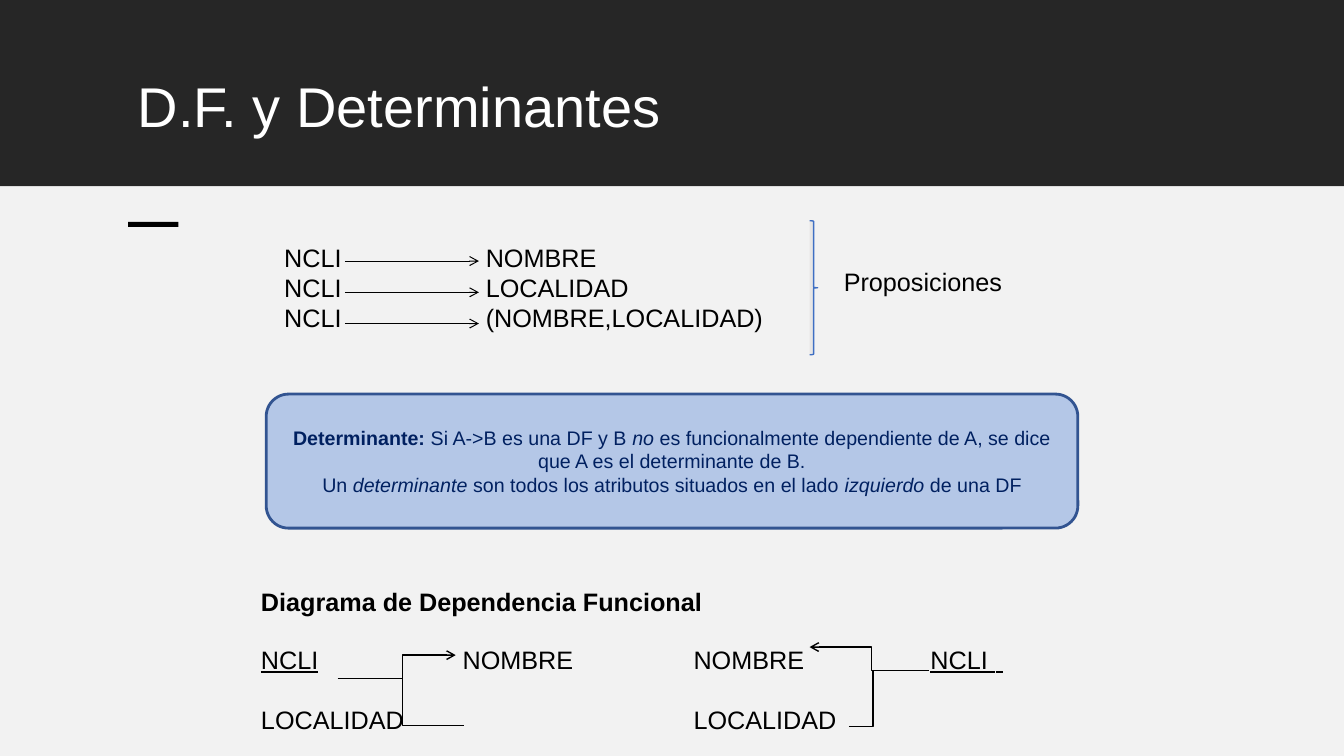
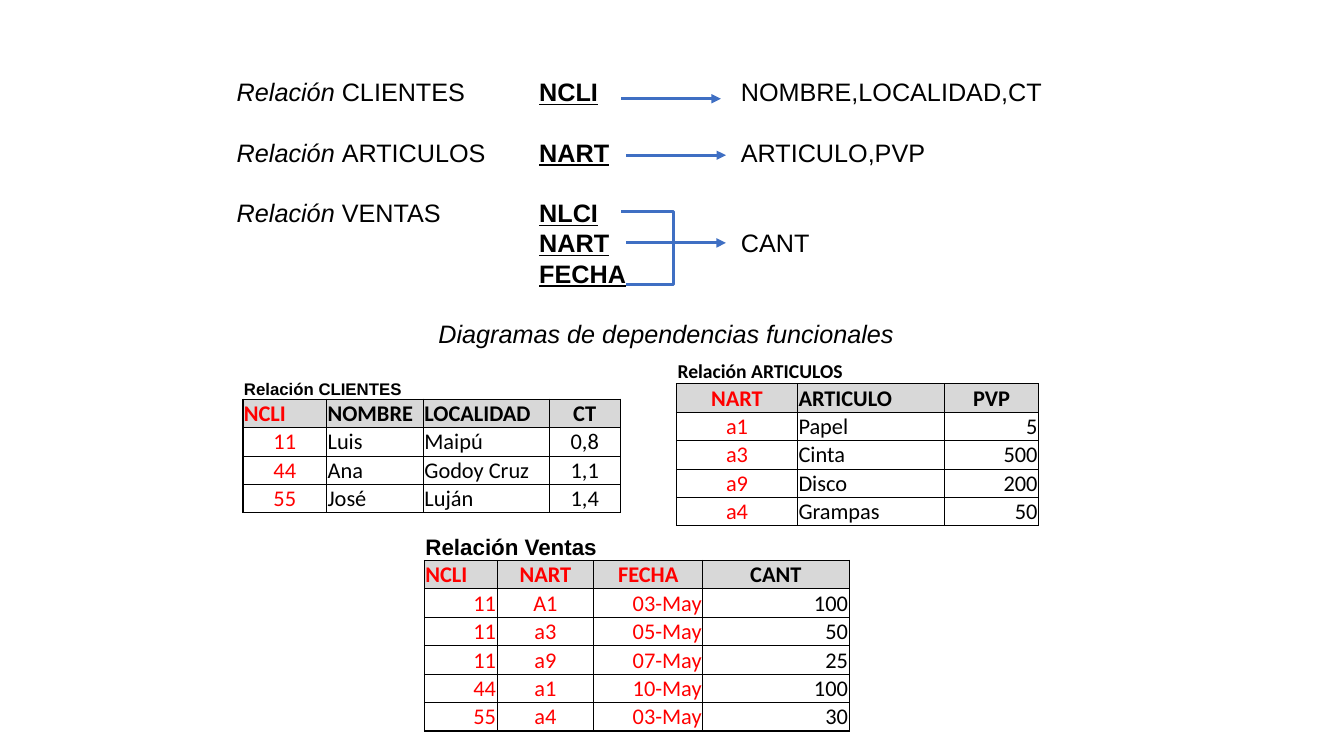
import pptx
import pptx.util
import pptx.dml.color
import pptx.enum.shapes
import pptx.enum.text
import pptx.oxml
import pptx.oxml.ns
from dataclasses import dataclass
from lxml import etree

Inches, Pt = pptx.util.Inches, pptx.util.Pt
MSO = pptx.enum.shapes.MSO_SHAPE
LINK = pptx.enum.shapes.MSO_CONNECTOR
ANCHOR = pptx.enum.text.MSO_ANCHOR
ALIGN = {"l": pptx.enum.text.PP_ALIGN.LEFT, "c": pptx.enum.text.PP_ALIGN.CENTER,
         "r": pptx.enum.text.PP_ALIGN.RIGHT}
qn = pptx.oxml.ns.qn
NO_GRID_STYLE = "{2D5ABB26-0587-4C30-8999-92F81FD0307C}"


@dataclass(frozen=True)
class Theme:
    width: float = 13.33
    height: float = 7.5
    band: float = 1.85
    font: str = "Arial"
    table_font: str = "Calibri"
    title: int = 40
    body: int = 18
    cell: int = 16
    note: int = 14
    gap: float = 21.6
    row: float = 0.28
    ink: str = "000000"
    white: str = "FFFFFF"
    dark: str = "262626"
    pale: str = "F2F2F2"
    blue: str = "3F6FC3"
    brace: str = "E7E6E6"
    box: str = "B4C7E7"
    box_edge: str = "325491"
    navy: str = "002060"
    key: str = "FF0000"
    header: str = "D8D8D8"


T = Theme()

TITLE = "D.F. y Determinantes"
PROPOSITIONS = ["NOMBRE", "LOCALIDAD", "(NOMBRE,LOCALIDAD)"]
DEFINITION = [
    [("Determinante: ", "b"), ("Si A->B es una DF y B ", ""), ("no", "i"),
     (" es funcionalmente dependiente de A, se dice que A es el determinante de B.", "")],
    [("Un ", ""), ("determinante", "i"), (" son todos los atributos situados en el lado ", ""),
     ("izquierdo", "i"), (" de una DF", "")],
]
DIAGRAM_LEFT = [[("NCLI", "u"), ("\tNOMBRE", "")], [("LOCALIDAD", "")]]
DIAGRAM_RIGHT = [[("NOMBRE\t", ""), ("NCLI \t ", "u")], [("LOCALIDAD", "")]]
DIAGRAM_LINKS = [
    ((3.35, 6.73), (4.52, 6.5), 0.55, "arrow"),
    ((3.97, 6.73), (4.6, 7.2), 0.035, None),
    ((9.21, 6.65), (8.03, 6.42), 0.48, "arrow"),
    ((8.42, 7.21), (8.66, 6.65), 1, None),
]

DEPENDENCIES = [
    [("Relación ", "i"), ("CLIENTES\t", ""), ("NCLI", "bu"), ("\tNOMBRE,LOCALIDAD,CT", "")],
    [("Relación ", "i"), ("ARTICULOS\t", ""), ("NART", "bu"), ("\tARTICULO,PVP", "")],
    [("Relación ", "i"), ("VENTAS\t", ""), ("NLCI", "bu")],
    [("\t", ""), ("NART", "bu"), ("\tCANT", "")],
    [("\t", ""), ("FECHA", "bu")],
    [("\t", ""), ("Diagramas de dependencias funcionales", "i")],
]
DEPENDENCY_TABS = [(3, 5)] * 5 + [(2,)]
DEPENDENCY_LINKS = [
    ((6.16, 0.98), (7.15, 0.98), None, "triangle"),
    ((6.21, 1.54), (7.2, 1.54), None, "triangle"),
    ((6.16, 2.1), (7.2, 2.41), 0.5, "triangle"),
    ((6.21, 2.41), (6.71, 2.41), None, None),
    ((6.21, 2.82), (7.15, 2.41), 0.5, None),
]
RELATIONS = [
    dict(title="Relación CLIENTES", font=T.font, size=12, at=(2.41, 3.72), title_row=0.24,
         cols=[0.83, 0.96, 1.25, 0.7], keys=1, head_align="lllc", align="cllc",
         rows=[["NCLI", "NOMBRE", "LOCALIDAD", "CT"], ["11", "Luis", "Maipú", "0,8"],
               ["44", "Ana", "Godoy Cruz", "1,1"], ["55", "José", "Luján", "1,4"]]),
    dict(title="Relación ARTICULOS", font=T.table_font, size=14, at=(6.71, 3.56), title_row=0.24,
         cols=[1.2, 1.46, 0.93], keys=1, head_align="clc", align="clr",
         rows=[["NART", "ARTICULO", "PVP"], ["a1", "Papel", "5"], ["a3", "Cinta", "500"],
               ["a9", "Disco", "200"], ["a4", "Grampas", "50"]]),
    dict(title="Relación Ventas", font=T.font, size=16, at=(4.21, 5.28), title_row=T.row,
         cols=[0.72, 0.96, 1.08, 1.45], keys=3, head_align="lccc", align="rcrr",
         rows=[["NCLI", "NART", "FECHA", "CANT"], ["11", "A1", "03-May", "100"],
               ["11", "a3", "05-May", "50"], ["11", "a9", "07-May", "25"],
               ["44", "a1", "10-May", "100"], ["55", "a4", "03-May", "30"]]),
]


def rgb(value):
    return pptx.dml.color.RGBColor.from_string(value)


def format_run(r, size, color, style="", font=T.font):
    r.font.name, r.font.size = font, Pt(size)
    r.font.color.rgb = rgb(color)
    r.font.bold, r.font.italic, r.font.underline = ("b" in style, "i" in style, "u" in style)


def write(tf, paragraphs, size=T.body, color=T.ink, align="l", tabs=(), gaps=()):
    tf.word_wrap = True
    for i, runs in enumerate(paragraphs):
        p = tf.paragraphs[0] if i == 0 else tf.add_paragraph()
        p.alignment = ALIGN[align]
        if tabs:
            tab_list = etree.SubElement(p._p.get_or_add_pPr(), qn("a:tabLst"))
            for stop in tabs[i]:
                etree.SubElement(tab_list, qn("a:tab"), pos=str(Inches(stop)), algn="l")
        if i in gaps:
            p.space_before = Pt(T.gap)
        for text, style in runs:
            r = p.add_run()
            r.text = text
            format_run(r, size, color, style)


def add_text(s, at, paragraphs, **options):
    write(s.shapes.add_textbox(*map(Inches, at)).text_frame, paragraphs, **options)


def add_box(s, kind, at, fill, line=None, weight=1):
    sp = s.shapes.add_shape(kind, *map(Inches, at))
    sp.shadow.inherit = False
    sp.fill.solid()
    sp.fill.fore_color.rgb = rgb(fill)
    if line:
        sp.line.color.rgb = rgb(line)
        sp.line.width = Pt(weight)
    else:
        sp.line.fill.background()
    return sp


def add_link(s, start, end, bend, tail, color, weight):
    kind = LINK.STRAIGHT if bend is None else LINK.ELBOW
    link = s.shapes.add_connector(kind, *map(Inches, start + end))
    link.line.color.rgb = rgb(color)
    link.line.width = Pt(weight)
    props = link.element.spPr
    if bend is not None:
        guides = props.find(qn("a:prstGeom")).find(qn("a:avLst"))
        etree.SubElement(guides, qn("a:gd"), name="adj1", fmla=f"val {round(bend * 100000)}")
    if tail:
        etree.SubElement(props.find(qn("a:ln")), qn("a:tailEnd"), type=tail)
    etree.SubElement(props, qn("a:effectLst"))


def set_borders(cell, **weights):
    props = cell._tc.get_or_add_tcPr()
    for side in "LRTB":
        ln = etree.SubElement(props, qn(f"a:ln{side}"), w=str(Pt(weights.get(side, 0))))
        if side in weights:
            fill = etree.SubElement(ln, qn("a:solidFill"))
            etree.SubElement(fill, qn("a:srgbClr"), val=T.ink)
        else:
            etree.SubElement(ln, qn("a:noFill"))


def fill_cell(cell, text, size, color, align, style, font, fill=None):
    cell.margin_left = cell.margin_right = cell.margin_top = Inches(0.01)
    cell.margin_bottom = 0
    cell.vertical_anchor = ANCHOR.BOTTOM
    cell.text_frame.text = text
    p = cell.text_frame.paragraphs[0]
    p.alignment = ALIGN[align]
    format_run(p.runs[0], size, color, style, font)
    if fill:
        cell.fill.solid()
        cell.fill.fore_color.rgb = rgb(fill)
    else:
        cell.fill.background()


def add_relation(s, title, font, size, at, title_row, cols, keys, head_align, align, rows):
    heights = [title_row] + [T.row] * len(rows)
    extent = (sum(cols), sum(heights))
    table = s.shapes.add_table(len(heights), len(cols), *map(Inches, at + extent)).table
    table.first_row = table.horz_banding = False
    table._tbl.tblPr.find(qn("a:tableStyleId")).text = NO_GRID_STYLE
    for column, width in zip(table.columns, cols):
        column.width = Inches(width)
    for row, height in zip(table.rows, heights):
        row.height = Inches(height)
    heading = table.cell(0, 0)
    heading.merge(table.cell(0, len(cols) - 1))
    set_borders(heading, B=1)
    fill_cell(heading, title, size, T.ink, "l", "b", font)
    for i, values in enumerate(rows):
        head, last = i == 0, i == len(rows) - 1
        for j, value in enumerate(values):
            cell = table.cell(i + 1, j)
            set_borders(cell, L=1 if j == 0 else 0.5, R=0.5, T=1 if i < 2 else 0.5,
                        B=1 if head or last else 0.5)
            fill_cell(cell, value, T.cell, T.key if j < keys else T.ink,
                      (head_align if head else align)[j], "b" if head else "",
                      T.table_font, T.header if head else None)


def build_determinants(s):
    add_box(s, MSO.RECTANGLE, (0, 0, T.width, T.band), T.dark)
    add_text(s, (1.27, 0.66, 10.81, 0.98), [[(TITLE, "")]], size=T.title, color=T.white)
    add_box(s, MSO.RECTANGLE, (0, T.band, T.width, T.height - T.band), T.pale)
    add_box(s, MSO.RECTANGLE, (1.27, 2.2, 0.5, 0.05), T.ink)
    add_text(s, (2.72, 2.35, 8.2, 1.01), [[(f"NCLI\t{name}", "")] for name in PROPOSITIONS],
             tabs=[(2,)] * len(PROPOSITIONS))
    for i in range(len(PROPOSITIONS)):
        y = 2.59 + 0.31 * i
        add_link(s, (3.42, y), (4.75, y), None, "arrow", T.ink, 0.75)
    add_box(s, MSO.RIGHT_BRACE, (8.03, 2.19, 0.08, 1.33), T.brace, T.blue)
    add_text(s, (8.27, 2.59, 2.58, 0.4), [[("Proposiciones", "")]])
    sp = add_box(s, MSO.ROUNDED_RECTANGLE, (2.64, 3.91, 8.05, 1.33), T.box, T.box_edge, 2)
    sp.text_frame.vertical_anchor = ANCHOR.MIDDLE
    write(sp.text_frame, DEFINITION, size=T.note, color=T.navy, align="c")
    add_text(s, (2.49, 5.77, 5.08, 0.4), [[("Diagrama de Dependencia Funcional", "b")]])
    add_text(s, (2.49, 6.34, 3.91, 1.01), DIAGRAM_LEFT, tabs=[(2,), ()], gaps=(1,))
    add_text(s, (6.78, 6.34, 3.52, 1.01), DIAGRAM_RIGHT, tabs=[(2.35, 3), ()], gaps=(1,))
    for link in DIAGRAM_LINKS:
        add_link(s, *link, T.ink, 1)


def build_relations(s):
    for relation in RELATIONS:
        add_relation(s, **relation)
    add_text(s, (2.25, 0.71, 8.83, 2.83), DEPENDENCIES, tabs=DEPENDENCY_TABS, gaps=(1, 2, 5))
    for link in DEPENDENCY_LINKS:
        add_link(s, *link, T.blue, 2.25)


def main():
    """Build the slides on functional dependencies and save them."""
    prs = pptx.Presentation()
    prs.slide_width, prs.slide_height = Inches(T.width), Inches(T.height)
    for build in (build_determinants, build_relations):
        build(prs.slides.add_slide(prs.slide_layouts[6]))
    prs.save("out.pptx")


if __name__ == "__main__":
    main()
